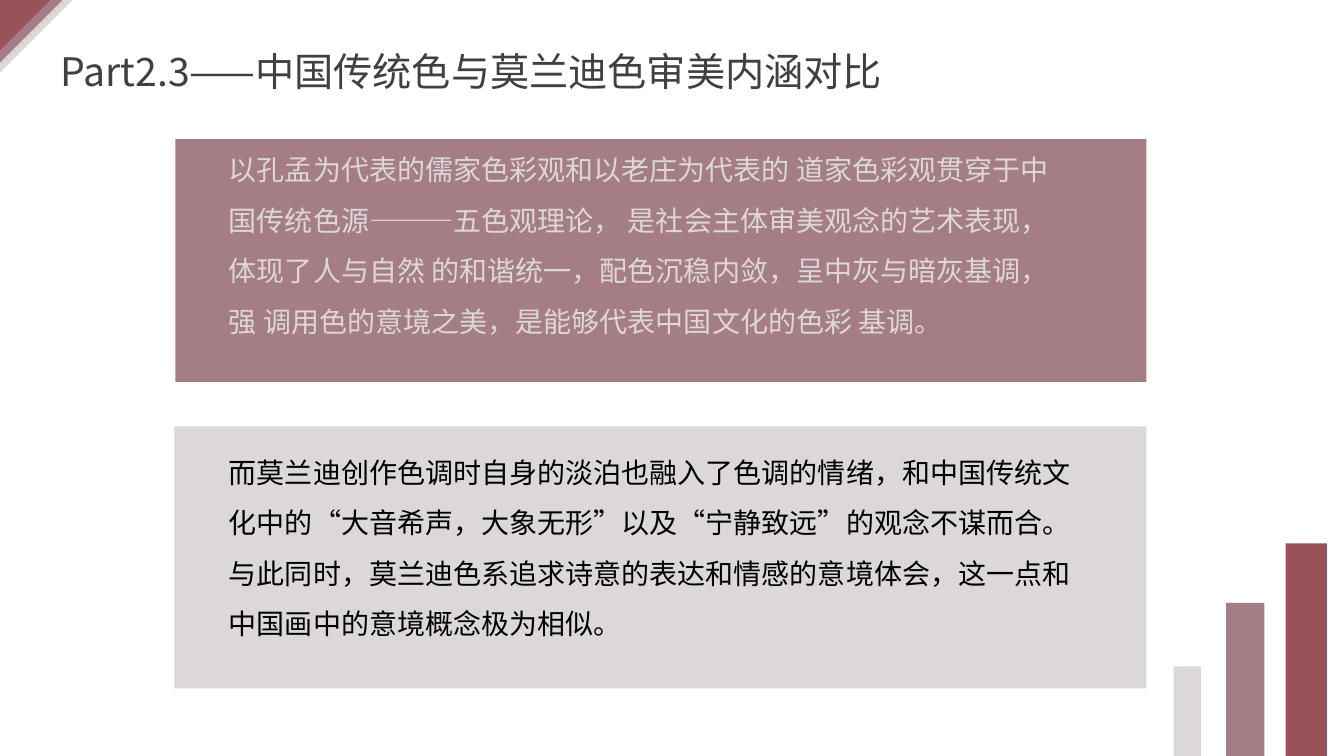
from pptx import Presentation
from pptx.dml.color import RGBColor
from pptx.enum.shapes import MSO_SHAPE
from pptx.enum.text import MSO_ANCHOR, MSO_AUTO_SIZE, PP_ALIGN
from pptx.oxml.ns import qn
from pptx.util import Inches, Pt
from lxml.etree import SubElement

COLORS = {
    "red": "995258",
    "mauve": "A57D85",
    "gray": "DCD8D9",
    "title": "404040",
    "black": "000000",
}
FONT = "Noto Sans CJK SC"
SLIDE_HEIGHT = 7.5


def paint(shape, color):
    shape.shadow.inherit = False
    shape.fill.solid()
    shape.fill.fore_color.rgb = RGBColor.from_string(COLORS[color])
    shape.line.fill.background()


def write(box, text, size, color, spacing, wrap):
    frame = box.text_frame
    frame.word_wrap = wrap
    frame.auto_size = MSO_AUTO_SIZE.NONE
    frame.vertical_anchor = MSO_ANCHOR.TOP
    frame.margin_left = frame.margin_right = 0
    frame.margin_top = frame.margin_bottom = 0
    para = frame.paragraphs[0]
    para.alignment = PP_ALIGN.LEFT
    para.line_spacing = Pt(spacing)
    para.space_before = Pt(0)
    span = para.add_run()
    span.text = text
    span.font.size = Pt(size)
    span.font.name = FONT
    span.font.color.rgb = RGBColor.from_string(COLORS[color])
    properties = span._r.get_or_add_rPr()
    properties.set("lang", "zh-CN")
    SubElement(properties, qn("a:ea")).set("typeface", FONT)


deck = Presentation()
deck.slide_width = Inches(13.33)
deck.slide_height = Inches(SLIDE_HEIGHT)
page = deck.slides.add_slide(deck.slide_layouts[5])

title = page.shapes.title
title.left, title.top = Inches(0.6), Inches(0.24)
title.width, title.height = Inches(8.44), Inches(0.7)
write(title, "Part2.3——中国传统色与莫兰迪色审美内涵对比", 28, "title", 50, False)

panels = [
    (1.74, 1.38, 9.63, 2.41, "mauve", 1.35, "gray",
     "以孔孟为代表的儒家色彩观和以老庄为代表的 道家色彩观贯穿于中国传统色源———五色观理论， "
     "是社会主体审美观念的艺术表现，体现了人与自然 的和谐统一，配色沉稳内敛，呈中灰与暗灰基调，"
     "强 调用色的意境之美，是能够代表中国文化的色彩 基调。"),
    (1.73, 4.23, 9.64, 2.6, "gray", 4.35, "black",
     "而莫兰迪创作色调时自身的淡泊也融入了色调的情绪，和中国传统文化中的“大音希声，大象无形”"
     "以及“宁静致远”的观念不谋而合。与此同时，莫兰迪色系追求诗意的表达和情感的意境体会，"
     "这一点和中国画中的意境概念极为相似。"),
]
for left, top, width, height, fill, text_top, text_color, text in panels:
    panel = page.shapes.add_shape(
        MSO_SHAPE.RECTANGLE, Inches(left), Inches(top), Inches(width), Inches(height))
    paint(panel, fill)
    box = page.shapes.add_textbox(Inches(2.27), Inches(text_top), Inches(8.35), Inches(2))
    write(box, text, 20, text_color, 36, True)

for left, width, height, color in [
    (12.75, 0.41, 2.11, "red"),
    (12.16, 0.38, 1.52, "mauve"),
    (11.64, 0.27, 0.89, "gray"),
]:
    bar = page.shapes.add_shape(
        MSO_SHAPE.RECTANGLE, Inches(left), Inches(SLIDE_HEIGHT - height),
        Inches(width), Inches(height))
    paint(bar, color)

for side, color in [(0.72, "gray"), (0.62, "mauve"), (0.5, "red")]:
    builder = page.shapes.build_freeform(0, 0, scale=1.0)
    builder.add_line_segments([(Inches(side), 0), (0, Inches(side))], close=True)
    paint(builder.convert_to_shape(), color)

deck.save("out.pptx")
